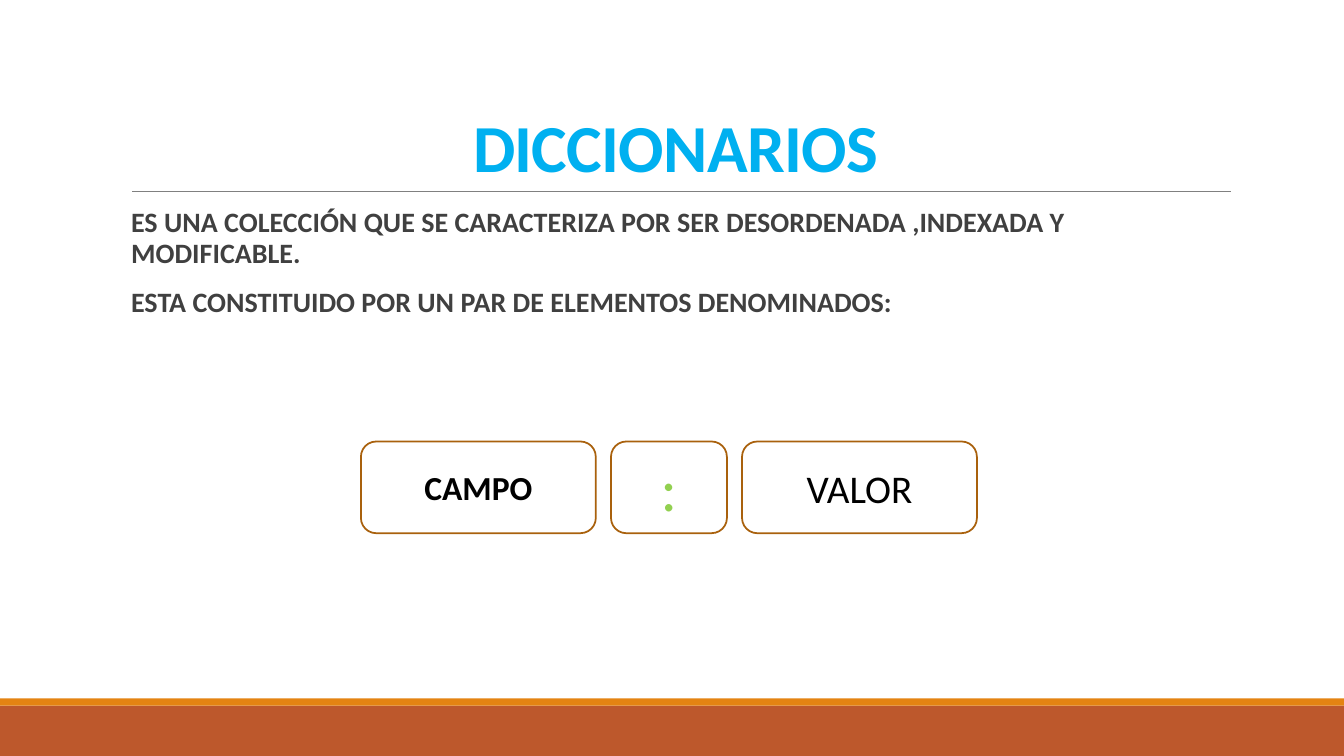
from lxml.etree import SubElement
from pptx import Presentation
from pptx.dml.color import RGBColor
from pptx.enum.shapes import MSO_CONNECTOR as Connector, MSO_SHAPE as Preset
from pptx.enum.text import MSO_ANCHOR as Anchor, MSO_AUTO_SIZE as AutoSize, PP_ALIGN as Align
from pptx.oxml.ns import qn
from pptx.util import Inches, Pt

WHITE = RGBColor(0xFF, 0xFF, 0xFF)
BLACK = RGBColor(0, 0, 0)
RUST = RGBColor(0xBD, 0x58, 0x2C)
ORANGE = RGBColor(0xE4, 0x83, 0x12)
BROWN = RGBColor(0xA9, 0x61, 0x0D)
GRAY = RGBColor(0x80, 0x80, 0x80)
CHARCOAL = RGBColor(0x40, 0x40, 0x40)
SKY = RGBColor(0x00, 0xB0, 0xF0)
GREEN = RGBColor(0x92, 0xD0, 0x50)

WIDTH, HEIGHT = Inches(13.33), Inches(7.5)
MARGIN, CONTENT_WIDTH = Inches(1.2), Inches(11)
RULE_Y = Inches(1.9)
PAIR_LEFT, PAIR_TOP, PAIR_HEIGHT, PAIR_GAP = Inches(3.58), Inches(4.38), Inches(0.91), Inches(0.15)

DEFINITION = (
    "ES UNA COLECCIÓN QUE SE CARACTERIZA POR SER DESORDENADA ,INDEXADA Y MODIFICABLE.",
    "ESTA CONSTITUIDO POR UN PAR DE ELEMENTOS DENOMINADOS:",
)
PAIR = (
    ("CAMPO", 2.33, 24, BLACK, True),
    (":", 1.15, 44, GREEN, False),
    ("VALOR", 2.33, 28, BLACK, False),
)


def style(paragraph, size, color, bold, align):
    paragraph.alignment = align
    font = paragraph.font
    font.name, font.size, font.bold = "Calibri", Pt(size), bold
    font.color.rgb = color


def place(shape, left, top, width, height):
    shape.left, shape.top, shape.width, shape.height = left, top, width, height


def add_band(slide, top, height, color):
    band = slide.shapes.add_shape(Preset.RECTANGLE, 0, top, WIDTH, height)
    band.shadow.inherit = False
    band.fill.solid()
    band.fill.fore_color.rgb = color
    band.line.fill.background()


def add_rule(slide):
    rule = slide.shapes.add_connector(
        Connector.STRAIGHT, Inches(1.31), RULE_Y, Inches(12.21), RULE_Y)
    rule.line.color.rgb = GRAY
    rule.line.width = Pt(0.5)
    SubElement(rule.element.spPr, qn("a:effectLst"))


def fill_title(slide, wording):
    title = slide.shapes.title
    place(title, MARGIN, Inches(0.31), CONTENT_WIDTH, Inches(1.59))
    frame = title.text_frame
    frame.text = wording
    frame.auto_size = AutoSize.NONE
    frame.vertical_anchor = Anchor.BOTTOM
    heading = frame.paragraphs[0]
    heading.line_spacing = 0.85
    style(heading, 48, SKY, True, Align.CENTER)
    heading.runs[0].font.element.set("spc", "-50") if hasattr(heading.runs[0].font, "element") else \
        heading._p.pPr.find(qn("a:defRPr")).set("spc", "-50")


def add_blank_bullet(paragraph):
    properties = paragraph._p.get_or_add_pPr()
    properties.set("marL", str(Inches(0.1)))
    properties.set("indent", str(-Inches(0.1)))
    color = SubElement(properties, qn("a:buClr"))
    SubElement(color, qn("a:srgbClr"), val=str(ORANGE))
    SubElement(properties, qn("a:buChar"), char=" ")


def fill_definition(slide, sentences):
    body = slide.placeholders[1]
    place(body, MARGIN, Inches(2.02), CONTENT_WIDTH, Inches(4.4))
    frame = body.text_frame
    frame.text = "\n".join(sentences)
    frame.auto_size = AutoSize.NONE
    frame.margin_left = frame.margin_right = 0
    for paragraph in frame.paragraphs:
        paragraph.line_spacing = 0.9
        paragraph.space_before, paragraph.space_after = Pt(12), Pt(2)
        add_blank_bullet(paragraph)
        style(paragraph, 20, CHARCOAL, True, Align.LEFT)


def add_pair(slide, parts):
    left = PAIR_LEFT
    for wording, inches, size, color, bold in parts:
        width = Inches(inches)
        part = slide.shapes.add_shape(
            Preset.ROUNDED_RECTANGLE, left, PAIR_TOP, width, PAIR_HEIGHT)
        part.shadow.inherit = False
        part.fill.background()
        part.line.color.rgb = BROWN
        part.line.width = Pt(1.25)
        frame = part.text_frame
        frame.text = wording
        frame.vertical_anchor = Anchor.MIDDLE
        style(frame.paragraphs[0], size, color, bold, Align.CENTER)
        left += width + PAIR_GAP


def main():
    deck = Presentation()
    deck.slide_width, deck.slide_height = WIDTH, HEIGHT
    slide = deck.slides.add_slide(deck.slide_layouts[1])
    slide.background.fill.solid()
    slide.background.fill.fore_color.rgb = WHITE
    add_band(slide, Inches(7), Inches(0.5), RUST)
    add_band(slide, Inches(6.93), Inches(0.07), ORANGE)
    add_rule(slide)
    fill_title(slide, "DICCIONARIOS")
    fill_definition(slide, DEFINITION)
    add_pair(slide, PAIR)
    deck.save("out.pptx")


if __name__ == "__main__":
    main()
